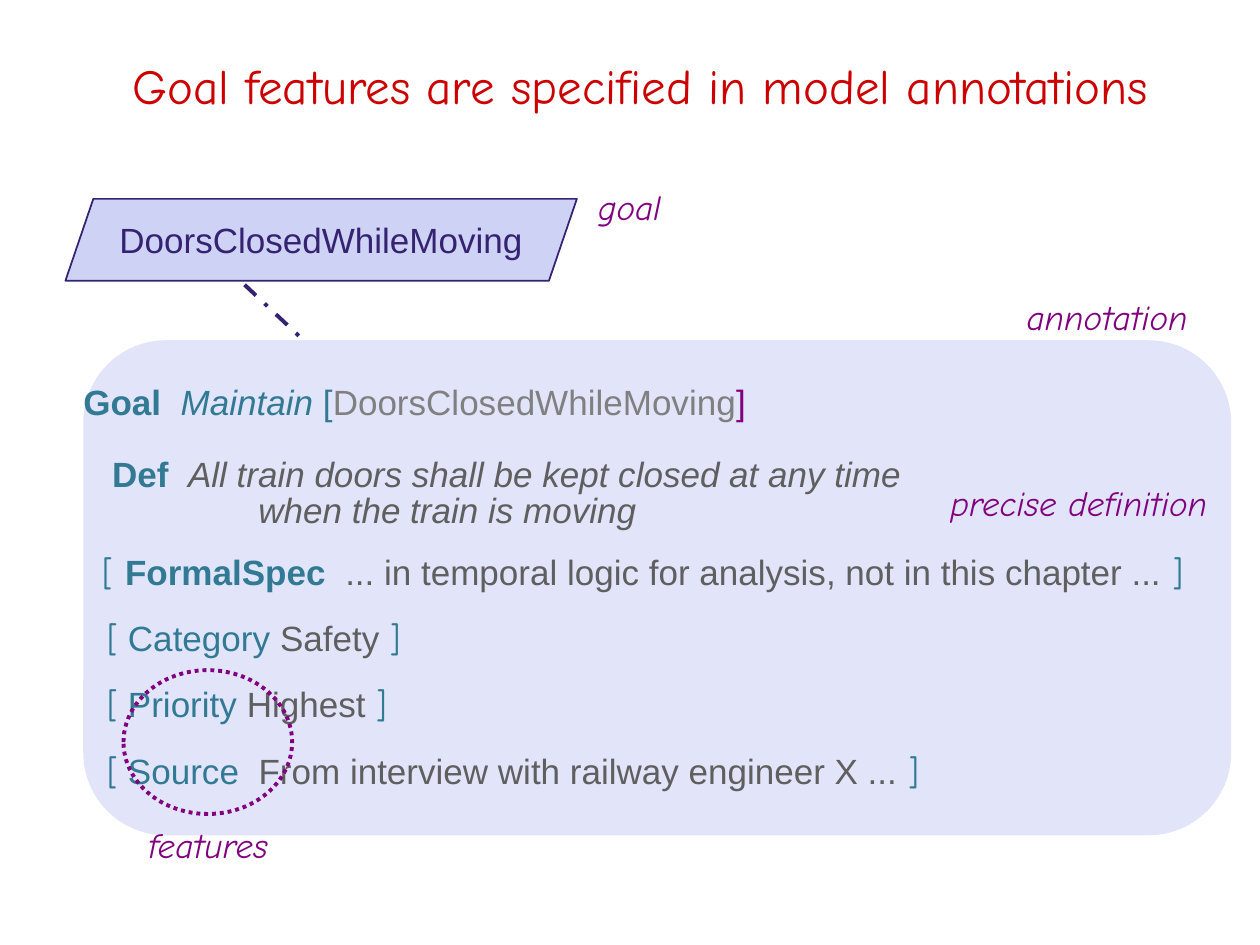
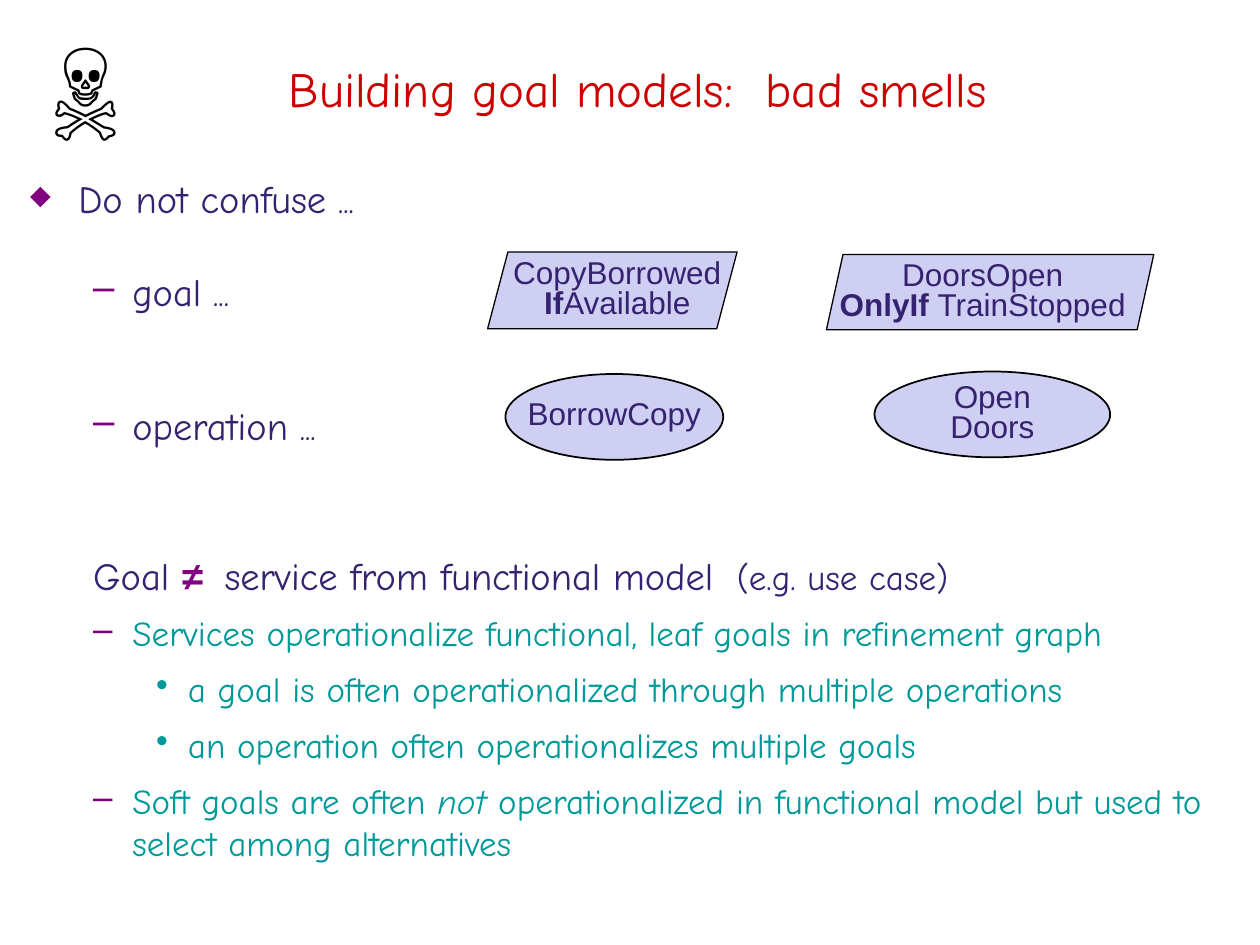
from dataclasses import dataclass, replace

from lxml import etree
from pptx import Presentation
from pptx.dml.color import RGBColor
from pptx.enum.dml import MSO_LINE
from pptx.enum.shapes import MSO_CONNECTOR, MSO_SHAPE
from pptx.enum.text import MSO_ANCHOR, PP_ALIGN
from pptx.oxml.ns import qn
from pptx.util import Cm, Pt

CENTER, LEFT = PP_ALIGN.CENTER, PP_ALIGN.LEFT
MIDDLE = MSO_ANCHOR.MIDDLE
PARALLELOGRAM = MSO_SHAPE.PARALLELOGRAM
ELLIPSE = MSO_SHAPE.OVAL
ROUNDED = MSO_SHAPE.ROUNDED_RECTANGLE
DASH_DOT, DOTTED = MSO_LINE.DASH_DOT, MSO_LINE.ROUND_DOT

RED = RGBColor(0xCC, 0x00, 0x00)
INDIGO = RGBColor(0x35, 0x22, 0x70)
PURPLE = RGBColor(0x80, 0x00, 0x80)
BLUE = RGBColor(0x32, 0x7A, 0x94)
TEAL = RGBColor(0x00, 0x99, 0x99)
GRAY = RGBColor(0x80, 0x80, 0x80)
DARK_GRAY = RGBColor(0x5F, 0x5F, 0x5F)
BLACK = RGBColor(0x00, 0x00, 0x00)
PANEL_FILL = RGBColor(0xE2, 0xE5, 0xFA)
GOAL_FILL = RGBColor(0xCE, 0xD3, 0xF6)
NODE_FILL = RGBColor(0xCE, 0xCF, 0xF2)


@dataclass(frozen=True)
class Style:
    color: RGBColor
    font: str = "Arial"
    size: int = 20
    bold: bool = False
    italic: bool = False


@dataclass(frozen=True)
class Para:
    """Runs of (text, style); indents in cm, gap before as a share of the first run's size."""
    runs: list
    spacing: float = 1.0
    gap: float = 0
    left: float = 0
    hanging: float = 0
    align: PP_ALIGN = LEFT
    level: int = 0
    bullet: str = ""
    bullet_color: RGBColor = None
    bullet_percent: int = 100


HAND = "Comic Neue"
TITLE = Style(RED, HAND, 28)
NOTE = Style(PURPLE, HAND, italic=True)
GOAL_NAME = Style(INDIGO)
KEY = Style(BLUE)
KEYWORD = Style(BLUE, bold=True)
BRACKET = Style(BLUE, HAND)
VALUE = Style(DARK_GRAY)
DEFINITION = Style(DARK_GRAY, italic=True)
NODE = Style(INDIGO, size=18)
NODE_BOLD = replace(NODE, bold=True)
TOPIC = Style(INDIGO, HAND, 22)
ASIDE = Style(INDIGO, HAND)
UNEQUAL = Style(PURPLE, size=22, bold=True)
POINT = Style(TEAL, HAND)
POINT_ITALIC = replace(POINT, italic=True)
SKULL = Style(BLACK, size=54)

# Slide 1: a goal and its annotation
FEATURES = [
    ("Category ", "Safety "),
    ("Priority ", "Highest "),
    ("Source  ", "From interview with railway engineer X ... "),
]
ANNOTATION = [
    Para([("Goal  ", KEYWORD), ("Maintain", replace(KEY, italic=True)), (" [", KEY),
          ("DoorsClosedWhileMoving", Style(GRAY)), ("]", Style(PURPLE))],
         spacing=0.9, left=0.97),
    Para([("Def  ", KEYWORD),
          ("All train doors shall be kept closed at any time", DEFINITION)],
         spacing=1.5, gap=0.25, left=1.55),
    Para([("when the train is moving", DEFINITION)], spacing=0.6, gap=0.25, left=4.5),
    Para([("[ ", BRACKET), ("FormalSpec  ", KEYWORD),
          ("... in temporal logic for analysis, not in this chapter ... ", VALUE),
          ("]", BRACKET)], spacing=1.3, gap=0.25, left=1.35),
] + [
    Para([("[", BRACKET), (" " + feature, KEY), (value, VALUE), ("]", BRACKET)],
         spacing=1.25, gap=0.4, left=1.45)
    for feature, value in FEATURES
]
NOTES = [  # text, left, top, width
    ("precise definition", 18.59, 9.58, 6.32),
    ("goal", 11.56, 3.61, 2.26),
    ("features", 2.51, 16.48, 3.38),
    ("annotation", 20.35, 5.84, 3.94),
]

# Slide 2: goals against operations
DASH = dict(level=1, left=2.06, hanging=0.79, bullet="–", bullet_color=PURPLE)
DOT = dict(level=2, left=3.18, hanging=0.64, bullet="•", gap=0.4)
SMELLS = [
    Para([("Do not confuse", TOPIC), (" ...", ASIDE)], spacing=1.4, left=0.97,
         hanging=0.97, bullet="◆", bullet_color=PURPLE, bullet_percent=70),
    Para([("goal", TOPIC), (" ...", ASIDE)], spacing=1.8, gap=0.25, **DASH),
    Para([("operation", TOPIC), (" ...", ASIDE)], spacing=2.7, gap=0.25, **DASH),
    Para([("Goal ", TOPIC), ("≠  ", UNEQUAL), ("service from functional model", TOPIC),
          ("  (e.g. use case)", ASIDE)],
         spacing=2.9, gap=0.4, level=1, left=2.06, hanging=0.79),
    Para([("Services operationalize functional, leaf goals in refinement graph", POINT)],
         gap=0.4, **DASH),
    Para([("a goal is often operationalized through multiple operations", POINT)], **DOT),
    Para([("an operation often operationalizes multiple goals", POINT)], **DOT),
    Para([("Soft goals are often ", POINT), ("not", POINT_ITALIC),
          (" operationalized in functional model but used to select among alternatives",
           POINT)], gap=0.4, **DASH),
]
NODES = [  # outline, box, slant, line width, shift of the label, label lines
    (PARALLELOGRAM, (16.66, 5.13, 6.6, 1.52), 0.221, 0.75, -0.15,
     [[("DoorsOpen", NODE)], [("OnlyIf ", NODE_BOLD), ("TrainStopped", NODE)]]),
    (PARALLELOGRAM, (9.83, 5.08, 5.03, 1.55), 0.265, 0.75, 0.1,
     [[("CopyBorrowed", NODE)], [("If", NODE_BOLD), ("Available", NODE)]]),
    (ELLIPSE, (17.63, 7.49, 4.75, 1.73), None, 1, 0,
     [[("Open", NODE)], [("Doors", NODE)]]),
    (ELLIPSE, (10.19, 7.54, 4.39, 1.73), None, 1, 0, [[("BorrowCopy", NODE)]]),
]


def add_bullet(paragraph, para):
    properties = paragraph._p.get_or_add_pPr()
    if para.bullet_color is not None:
        color = etree.SubElement(properties, qn("a:buClr"))
        etree.SubElement(color, qn("a:srgbClr"), val=str(para.bullet_color))
    etree.SubElement(properties, qn("a:buSzPct"), val=str(para.bullet_percent * 1000))
    etree.SubElement(properties, qn("a:buChar"), char=para.bullet)


def write(frame, paras, wrap=True):
    frame.word_wrap = wrap
    frame.vertical_anchor = MIDDLE
    for index, para in enumerate(paras):
        paragraph = frame.add_paragraph() if index else frame.paragraphs[0]
        if para.bullet:
            add_bullet(paragraph, para)
        properties = paragraph._p.get_or_add_pPr()
        properties.set("marL", str(Cm(para.left)))
        properties.set("indent", str(-Cm(para.hanging)))
        paragraph.level = para.level
        paragraph.alignment = para.align
        paragraph.line_spacing = para.spacing
        if index:
            paragraph.space_before = Pt(para.gap * para.runs[0][1].size)
        for text, style in para.runs:
            run = paragraph.add_run()
            run.text = text
            font = run.font
            font.name, font.size = style.font, Pt(style.size)
            font.bold, font.italic = style.bold, style.italic
            font.color.rgb = style.color


def add_text(slide, box, paras, wrap=True):
    write(slide.shapes.add_textbox(*map(Cm, box)).text_frame, paras, wrap)


def add_outline(slide, outline, box, fill=None, line=None, width=1, adjust=None):
    shape = slide.shapes.add_shape(outline, *map(Cm, box))
    shape.shadow.inherit = False
    if adjust is not None:
        shape.adjustments[0] = adjust
    if fill is None:
        shape.fill.background()
    else:
        shape.fill.solid()
        shape.fill.fore_color.rgb = fill
    if line is None:
        shape.line.fill.background()
    else:
        shape.line.color.rgb = line
        shape.line.width = Pt(width)
    return shape


def write_inside(shape, lines, spacing=1.0, shift=0):
    """Centre the lines in the shape, moved sideways by shift cm."""
    frame = shape.text_frame
    frame.margin_left = Cm(max(2 * shift, 0))
    frame.margin_right = Cm(max(-2 * shift, 0))
    write(frame, [Para(runs, spacing, align=CENTER) for runs in lines], wrap=False)


def add_title(slide, text, box):
    add_text(slide, box, [Para([(text, TITLE)], align=CENTER)])


def build_annotation_slide(slide):
    add_title(slide, "Goal features are specified in model annotations",
              (1.12, 0.66, 23.57, 2.11))
    add_outline(slide, ROUNDED, (1.68, 6.86, 23.14, 9.98), PANEL_FILL, adjust=0.167)
    add_text(slide, (0.46, 5.13, 24.94, 13.46), ANNOTATION)
    goal = add_outline(slide, PARALLELOGRAM, (1.32, 4.01, 10.31, 1.65), GOAL_FILL,
                       INDIGO, adjust=0.341)
    write_inside(goal, [[("DoorsClosedWhileMoving", GOAL_NAME)]])

    link = slide.shapes.add_connector(MSO_CONNECTOR.STRAIGHT,
                                      Cm(4.93), Cm(5.74), Cm(6.12), Cm(6.86))
    link.line.color.rgb = INDIGO
    link.line.width = Pt(2.25)
    link.line.dash_style = DASH_DOT
    etree.SubElement(link._element.spPr, qn("a:effectLst"))

    for text, left, top, width in NOTES:
        add_text(slide, (left, top, width, 1.09),
                 [Para([(text, NOTE)], align=CENTER)], wrap=False)
    feature_ring = add_outline(slide, ELLIPSE, (2.49, 13.51, 3.4, 2.9),
                               line=PURPLE, width=2.25)
    feature_ring.line.dash_style = DOTTED


def build_smells_slide(slide):
    add_text(slide, (0.36, 3.38, 24.94, 13.82), SMELLS)
    add_title(slide, "Building goal models:  bad smells", (0.84, 0.71, 24.03, 2.11))
    for outline, box, slant, width, shift, lines in NODES:
        node = add_outline(slide, outline, box, NODE_FILL, BLACK, width, slant)
        write_inside(node, lines, 0.8, shift)
    add_text(slide, (0.61, 0.18, 2.24, 2.77),
             [Para([("☠", SKULL)], spacing=1.1, align=CENTER)])


def main():
    deck = Presentation()
    deck.slide_width, deck.slide_height = Cm(25.4), Cm(19.05)
    blank = deck.slide_layouts[6]
    for build in (build_annotation_slide, build_smells_slide):
        build(deck.slides.add_slide(blank))
    deck.save("out.pptx")


if __name__ == "__main__":
    main()
